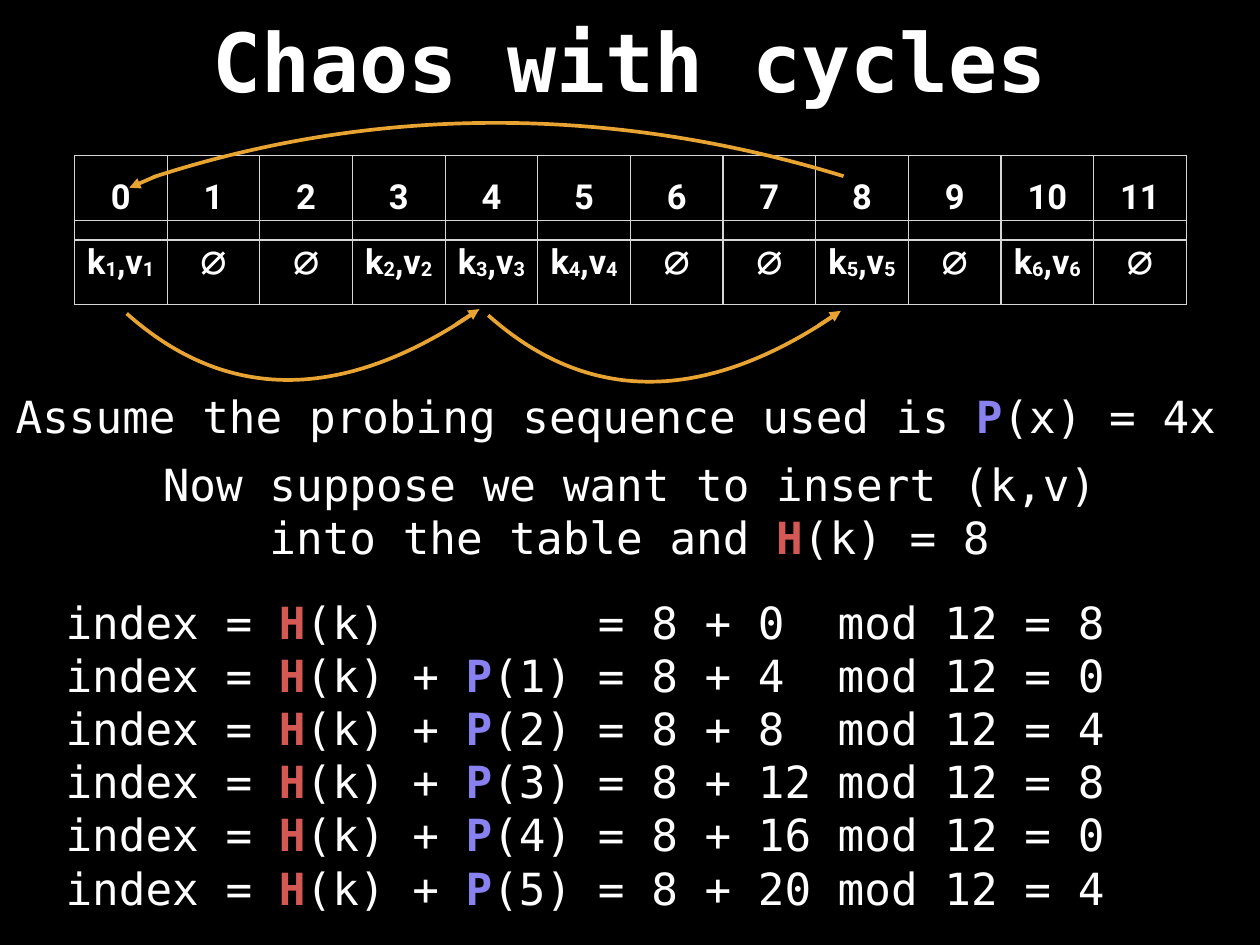
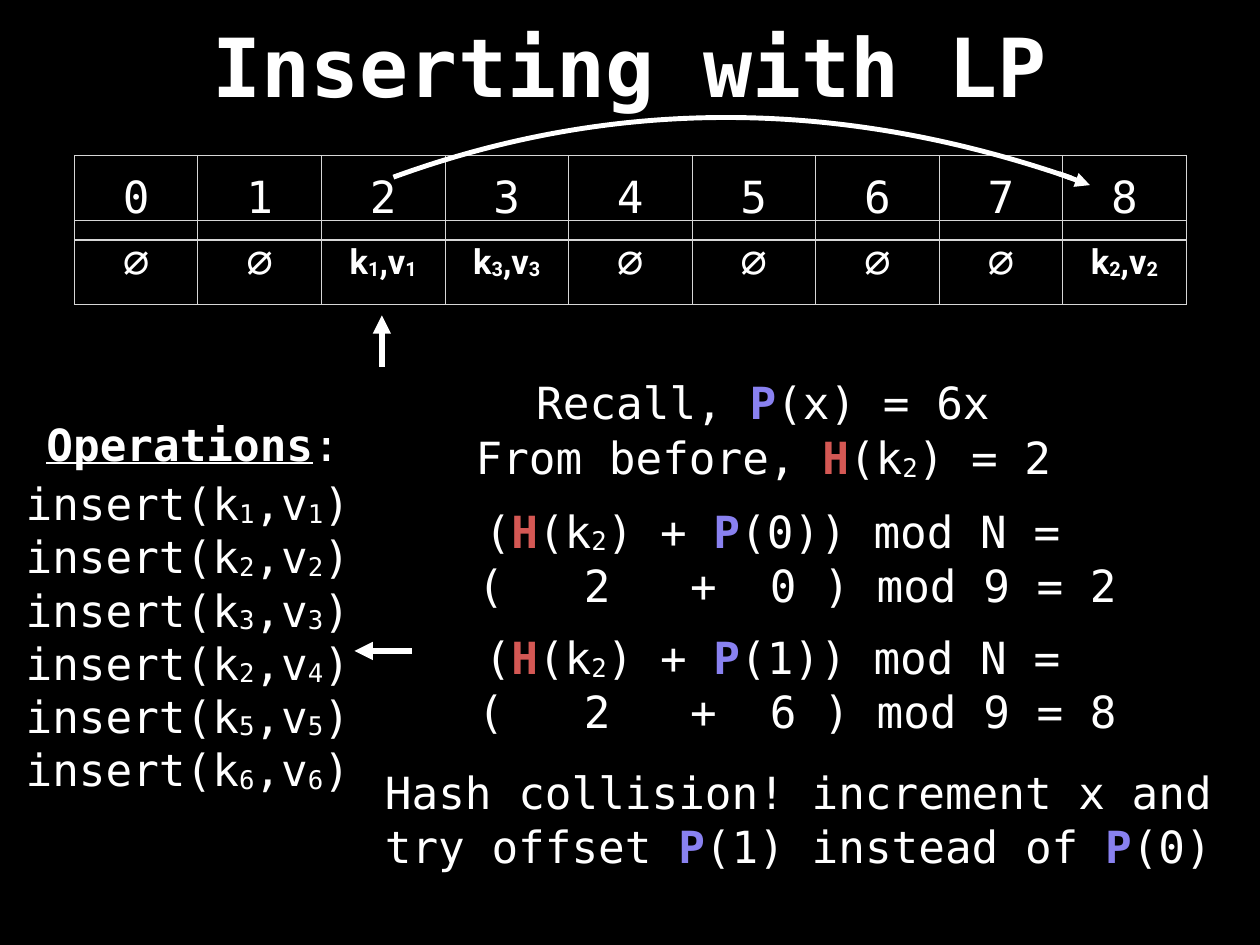
"""Build two hash table probing slides with a shared dark style."""
import dataclasses
import lxml.etree
import pptx
import pptx.dml.color
import pptx.enum.shapes
import pptx.enum.text
import pptx.oxml.ns
import pptx.util

Inches = pptx.util.Inches
Pt = pptx.util.Pt
qn = pptx.oxml.ns.qn
ALIGN = pptx.enum.text.PP_ALIGN
ANCHOR = pptx.enum.text.MSO_ANCHOR


def rgb(value):
    return pptx.dml.color.RGBColor.from_string(value)


def assign(target, values):
    for name, value in values.items():
        setattr(target, name, value)


def add_node(parent, tag, **attributes):
    return lxml.etree.SubElement(parent, qn(tag), attributes)


@dataclasses.dataclass(frozen=True)
class Theme:
    ground: str = "000000"
    ink: str = "FFFFFF"
    grid: str = "D6D6D6"
    cycle: str = "E8A432"
    hash_mark: str = "D45854"
    probe_mark: str = "8981F0"
    mono: str = "DejaVu Sans Mono"
    sans: str = "Roboto"
    title_size: float = 66.2
    body_size: int = 36
    cell_size: int = 28
    leading: float = 43.2
    advance: float = 0.3
    inset: float = 0.06

    def fonts(self):
        return {
            "title": {"name": self.mono, "size": Pt(self.title_size), "bold": True},
            "body": {"name": self.mono, "size": Pt(self.body_size), "bold": False},
            "cell": {"name": self.sans, "size": Pt(self.cell_size), "bold": True},
        }


class Deck:
    def __init__(self, theme, width, height):
        self.theme = theme
        self.fonts = theme.fonts()
        self.width = width
        self.presentation = pptx.Presentation()
        assign(self.presentation, {"slide_width": Inches(width), "slide_height": Inches(height)})
        self.slide = None

    def start_slide(self, title, top):
        self.slide = self.presentation.slides.add_slide(self.presentation.slide_layouts[6])
        fill = self.slide.background.fill
        fill.solid()
        fill.fore_color.rgb = rgb(self.theme.ground)
        self.text(title, 0, top, self.width, 1.3, role="title")

    def margins(self):
        sides = ("left", "right", "top", "bottom")
        return {f"margin_{side}": Inches(self.theme.inset) for side in sides}

    def add_runs(self, paragraph, marked, role):
        """Add text whose parts between bars are emphasised or lowered."""
        for place, part in enumerate(marked.split("|")):
            if not part:
                continue
            run = paragraph.add_run()
            run.text = part
            assign(run.font, self.fonts[role])
            color = self.theme.ink
            if place % 2 and part.isdigit():
                run._r.get_or_add_rPr().set("baseline", "-6000")
            elif place % 2:
                color = {"H": self.theme.hash_mark, "P": self.theme.probe_mark}.get(part, color)
                assign(run.font, {"bold": True, "underline": len(part) > 1})
            run.font.color.rgb = rgb(color)

    def text(self, lines, left, top, width, height, role="body",
             align=ALIGN.CENTER, anchor=ANCHOR.MIDDLE, columns=()):
        box = self.slide.shapes.add_textbox(*map(Inches, (left, top, width, height)))
        frame = box.text_frame
        assign(frame, {"word_wrap": True, "vertical_anchor": anchor, **self.margins()})
        for place, line in enumerate(lines.split("\n")):
            paragraph = frame.add_paragraph() if place else frame.paragraphs[0]
            paragraph.alignment = align
            if role == "body":
                paragraph.line_spacing = Pt(self.theme.leading)
            if columns:
                stops = add_node(paragraph._p.get_or_add_pPr(), "a:tabLst")
                for column in columns:
                    add_node(stops, "a:tab", pos=str(Inches(column * self.theme.advance)), algn="l")
            self.add_runs(paragraph, line, role)

    def code(self, lines, left, top, width, height, columns=()):
        self.text(lines, left, top, width, height, align=ALIGN.LEFT,
                  anchor=ANCHOR.TOP, columns=columns)

    def strip(self, entries, top, role):
        """Draw one row of cells across the slide."""
        left, width, height = 0.84, 12.55, 0.95
        count = len(entries)
        table = self.slide.shapes.add_table(
            1, count, *map(Inches, (left, top, width, height))).table
        assign(table, {"first_row": False, "horz_banding": False})
        for column, entry in enumerate(entries):
            table.columns[column].width = Inches(width / count)
            cell = table.cell(0, column)
            assign(cell, {"vertical_anchor": ANCHOR.MIDDLE, **self.margins()})
            for side in "LRTB":
                border = add_node(cell._tc.get_or_add_tcPr(), f"a:ln{side}", w=str(Pt(1)))
                add_node(add_node(border, "a:solidFill"), "a:srgbClr", val=self.theme.grid)
            cell.fill.background()
            paragraph = cell.text_frame.paragraphs[0]
            paragraph.alignment = ALIGN.CENTER
            self.add_runs(paragraph, entry, "body" if entry == "∅" else role)

    def hash_table(self, entries, index_role):
        self.strip([str(index) for index in range(len(entries))], 1.76, index_role)
        self.strip(entries, 2.49, "cell")

    def stroke(self, shape, color, weight):
        shape.line.color.rgb = rgb(color)
        shape.line.width = Pt(weight)

    def arrow(self, start, end, color, weight):
        points = map(Inches, (*start, *end))
        shaft = self.slide.shapes.add_connector(
            pptx.enum.shapes.MSO_CONNECTOR.STRAIGHT, *points)
        self.stroke(shaft, color, weight)
        add_node(shaft.line._get_or_add_ln(), "a:tailEnd", type="triangle")
        add_node(shaft._element.spPr, "a:effectLst")

    def jump(self, start, bend_out, bend_in, end, head, color, weight):
        """Draw a Bezier curve and finish it with an arrow along head."""
        corners = [tuple(map(Inches, point)) for point in (start, bend_out, bend_in, end)]

        def along(t):
            weights = ((1 - t) ** 3, 3 * t * (1 - t) ** 2, 3 * t * t * (1 - t), t ** 3)
            return tuple(round(sum(w * corner[axis] for w, corner in zip(weights, corners)))
                         for axis in (0, 1))

        builder = self.slide.shapes.build_freeform(*corners[0], scale=1.0)
        builder.add_line_segments([along(step / 40) for step in range(1, 41)], close=False)
        curve = builder.convert_to_shape()
        outline = next(curve._element.iter(qn("a:path")))
        for segment in outline.findall(qn("a:lnTo")):
            outline.remove(segment)
        bezier = add_node(outline, "a:cubicBezTo")
        for x, y in corners[1:]:
            add_node(bezier, "a:pt", x=str(x - curve.left), y=str(y - curve.top))
        curve.shadow.inherit = False
        curve.fill.background()
        self.stroke(curve, color, weight)
        self.arrow(*head, color, weight)


def pair(number):
    return f"k|{number}|,v|{number}|" if number else "∅"


def chaos_slide(deck):
    deck.start_slide("Chaos with cycles", 0.03)
    deck.hash_table([pair(n) for n in (1, 0, 0, 2, 3, 4, 0, 0, 5, 0, 6, 0)], "cell")
    deck.text("Assume the probing sequence used is |P|(x) = 4x", 0.03, 4.35, 13.84, 0.68)
    deck.text("Now suppose we want to insert (k,v) into the table and |H|(k) = 8",
              1.69, 5.14, 10.83, 1.25)
    probes = []
    for x in range(6):
        offset = f" + |P|({x})" if x else ""
        probes.append(f"index = |H|(k){offset}\t= 8 + {4 * x}\tmod 12 = {(8 + 4 * x) % 12}")
    deck.code("\n".join(probes), 0.68, 6.66, 12.17, 3.7, columns=(20.03, 29.05))
    color = deck.theme.cycle
    deck.jump((9.52, 1.99), (6.92, 1.19), (4.25, 1.18), (1.73, 2),
              ((1.76, 1.99), (1.46, 2.12)), color, 3)
    for x, y in ((1.43, 3.54), (5.51, 3.56)):
        deck.jump((x, y), (x + 1.12, y + 1), (x + 2.43, y + 1), (x + 3.91, y),
                  ((x + 3.72, y + 0.12), (x + 3.98, y - 0.05)), color, 3)


def inserting_slide(deck):
    deck.start_slide("Inserting with LP", 0.08)
    deck.hash_table([pair(n) for n in (0, 0, 1, 3, 0, 0, 0, 0, 2)], "body")
    deck.text("|Operations|:", 0.4, 4.67, 3.56, 0.68)
    operations = ((1, 1), (2, 2), (3, 3), (2, 4), (5, 5), (6, 6))
    deck.code("\n".join(f"insert(k|{key}|,v|{value}|)" for key, value in operations),
              0.23, 5.32, 4.14, 3.73)
    deck.text("Recall, |P|(x) = 6x", 5.9, 4.2, 5.42, 0.68)
    deck.text("From before, |H|(k|2|) = 2", 5.29, 4.82, 6.65, 0.68)
    for x, top in enumerate((5.63, 7.06)):
        deck.code(f"(|H|(k|2|) + |P|({x})) mod N =", 5.41, top, 6.95, 0.68)
        deck.code(f"(\t2\t+\t{6 * x} ) mod 9 = {2 + 6 * x}", 5.33, top + 0.61, 7.5, 0.68,
                  columns=(4, 8, 11))
    deck.text("Hash collision! increment x and try offset |P|(1) instead of |P|(0)",
              3.94, 8.62, 10.14, 1.25)
    color = deck.theme.ink
    deck.jump((4.44, 2), (6.91, 1.1), (9.46, 1.1), (12.09, 2.01),
              ((11.95, 1.96), (12.3, 2.09)), color, 4)
    deck.arrow((4.31, 4.14), (4.31, 3.56), color, 5)
    deck.arrow((4.65, 7.35), (4, 7.35), color, 5)


def main():
    deck = Deck(Theme(), 14.22, 10.67)
    chaos_slide(deck)
    inserting_slide(deck)
    deck.presentation.save("out.pptx")


if __name__ == "__main__":
    main()
